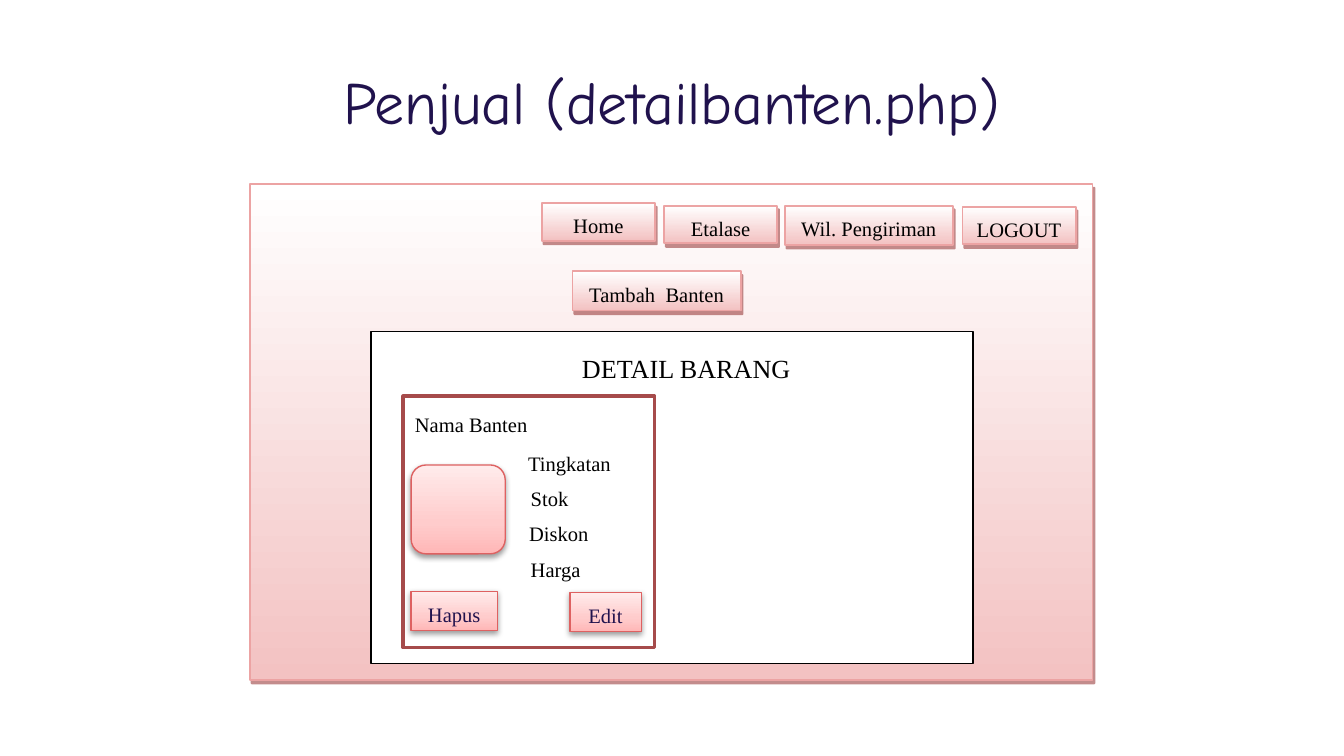
"""Build the wireframe slide for the seller's item detail page."""
from lxml import etree
from pptx import Presentation
from pptx.dml.color import RGBColor
from pptx.enum.shapes import MSO_SHAPE
from pptx.enum.text import MSO_ANCHOR, PP_ALIGN
from pptx.oxml.ns import qn
from pptx.util import Cm, Pt

RECTANGLE = MSO_SHAPE.RECTANGLE
ROUNDED = MSO_SHAPE.ROUNDED_RECTANGLE
TOP, MIDDLE = MSO_ANCHOR.TOP, MSO_ANCHOR.MIDDLE
LEFT, CENTER = PP_ALIGN.LEFT, PP_ALIGN.CENTER

BLACK = RGBColor(0x00, 0x00, 0x00)
WHITE = RGBColor(0xFF, 0xFF, 0xFF)
INDIGO = RGBColor(0x20, 0x12, 0x4D)
BLUSH = RGBColor(0xF3, 0xC2, 0xC2)
PINK = RGBColor(0xEC, 0xA3, 0xA3)
MAROON = RGBColor(0x88, 0x1B, 0x1B)
SALMON = RGBColor(0xFF, 0xB7, 0xB7)
ROSE = RGBColor(0xFF, 0xCC, 0xCC)
PALE_ROSE = RGBColor(0xFF, 0xEB, 0xEB)
CORAL = RGBColor(0xDE, 0x61, 0x61)
BRICK = RGBColor(0xA6, 0x4B, 0x4B)

TITLE_FONT, BODY_FONT = "Comic Neue", "Times New Roman"

PAGE_STYLE = {
    "stops": [(0, WHITE), (100, BLUSH)], "angle": 90, "edge": PINK, "weight": 1,
    "shadow": (MAROON, 50, 0, 2.2, 63),
}
ITEM_STYLE = {
    "stops": [(0, SALMON), (35, ROSE), (100, PALE_ROSE)], "angle": 270,
    "edge": CORAL, "weight": 0.75, "shadow": (BLACK, 38, 3.1, 1.6, 90),
}

MENU_BUTTONS = [
    ("Home", 10.24, 3.84, 2.14, 0.71),
    ("Wil. Pengiriman", 14.83, 3.89, 3.18, 0.74),
    ("Etalase", 12.55, 3.89, 2.14, 0.71),
    ("LOGOUT", 18.19, 3.91, 2.14, 0.71),
    ("Tambah  Banten", 10.82, 5.13, 3.18, 0.74),
]
ITEM_BUTTONS = [
    ("Edit", 10.77, 11.2, 1.35, 0.74),
    ("Hapus", 7.77, 11.18, 1.63, 0.74),
]
ITEM_LABELS = [
    ("Nama Banten", 7.59, 7.59, 2.72, 0.86),
    ("Tingkatan", 9.73, 8.33, 2.16, 0.84),
    ("Stok", 9.78, 8.99, 1.57, 0.69),
    ("Diskon", 9.75, 9.65, 1.73, 0.69),
    ("Harga", 9.78, 10.34, 1.85, 0.69),
]


def add_color(parent, color, alpha=100):
    """Add a colour element with an opacity in percent."""
    tint = etree.SubElement(parent, qn("a:srgbClr"), val=str(color))
    if alpha < 100:
        etree.SubElement(tint, qn("a:alpha"), val=str(alpha * 1000))


def apply_gradient(shape, stops, angle):
    """Fill a shape with a linear gradient, its angle measured clockwise."""
    shape.fill.gradient()
    shape.fill.gradient_angle = 360 - angle
    stop_list = shape._element.spPr.find(".//" + qn("a:gsLst"))
    for old_stop in list(stop_list):
        stop_list.remove(old_stop)
    for position, color in stops:
        stop = etree.SubElement(stop_list, qn("a:gs"), pos=str(position * 1000))
        add_color(stop, color)


def apply_shadow(shape, color, alpha, blur, distance, angle):
    """Give a shape an outer shadow."""
    effects = shape._element.spPr.find(qn("a:effectLst"))
    shadow = etree.SubElement(
        effects, qn("a:outerShdw"), blurRad=str(Pt(blur)), dist=str(Pt(distance)),
        dir=str(angle * 60000), algn="ctr", rotWithShape="0")
    add_color(shadow, color, alpha)


def write_text(frame, text, size, color, align, font=BODY_FONT, spacing=1.15, after=10):
    """Write one paragraph into a text frame."""
    frame.word_wrap = True
    paragraph = frame.paragraphs[0]
    paragraph.alignment = align
    paragraph.line_spacing = spacing
    paragraph.space_after = Pt(after)
    run = paragraph.add_run()
    run.text = text
    run.font.size = Pt(size)
    run.font.name = font
    run.font.color.rgb = color


def add_box(group, bounds, edge, weight, fill=None, preset=RECTANGLE):
    """Add an outlined box with a plain fill or none."""
    box = group.shapes.add_shape(preset, *map(Cm, bounds))
    box.shadow.inherit = False
    if fill is None:
        box.fill.background()
    else:
        box.fill.solid()
        box.fill.fore_color.rgb = fill
    box.line.color.rgb = edge
    box.line.width = Pt(weight)
    return box


def add_raised_box(group, bounds, style, preset=RECTANGLE):
    """Add a box with a gradient and a shadow."""
    box = add_box(group, bounds, style["edge"], style["weight"], preset=preset)
    apply_gradient(box, style["stops"], style["angle"])
    apply_shadow(box, *style["shadow"])
    return box


def add_button(group, caption, bounds, style, color):
    """Add a raised box with a centred caption."""
    button = add_raised_box(group, bounds, style)
    button.text_frame.vertical_anchor = TOP
    write_text(button.text_frame, caption, 11, color, CENTER)


def add_label(group, text, bounds, size=11, align=LEFT):
    """Add a plain text label."""
    label = group.shapes.add_textbox(*map(Cm, bounds))
    write_text(label.text_frame, text, size, BLACK, align)


def set_title(slide, text):
    """Place and format the slide title."""
    title = slide.shapes.title
    title.left, title.top, title.width, title.height = map(Cm, (1.98, 1.22, 21.44, 1.6))
    frame = title.text_frame
    frame.vertical_anchor = MIDDLE
    frame.margin_left = frame.margin_right = Cm(0.25)
    frame.margin_top = frame.margin_bottom = Cm(0.25)
    write_text(frame, text, 32, INDIGO, CENTER, TITLE_FONT, 0.8, 0)


def main():
    """Build and save the slide."""
    deck = Presentation()
    deck.slide_width, deck.slide_height = Cm(25.4), Cm(14.29)
    slide = deck.slides.add_slide(deck.slide_layouts[5])
    set_title(slide, "Penjual (detailbanten.php)")

    page = slide.shapes.add_group_shape()
    add_raised_box(page, (4.72, 3.48, 15.93, 9.37), PAGE_STYLE)
    add_box(page, (7.01, 6.27, 11.38, 6.27), BLACK, 0.75, WHITE)
    for caption, *bounds in MENU_BUTTONS:
        add_button(page, caption, bounds, PAGE_STYLE, BLACK)

    add_raised_box(page, (7.77, 8.79, 1.78, 1.68), ITEM_STYLE, ROUNDED)
    for text, *bounds in ITEM_LABELS:
        add_label(page, text, bounds)
    add_box(page, (7.62, 7.49, 4.75, 4.75), BRICK, 2)
    for caption, *bounds in ITEM_BUTTONS:
        add_button(page, caption, bounds, ITEM_STYLE, INDIGO)
    add_label(page, "DETAIL BARANG", (10.67, 6.45, 4.6, 0.94), 14, CENTER)

    deck.save("out.pptx")


if __name__ == "__main__":
    main()
